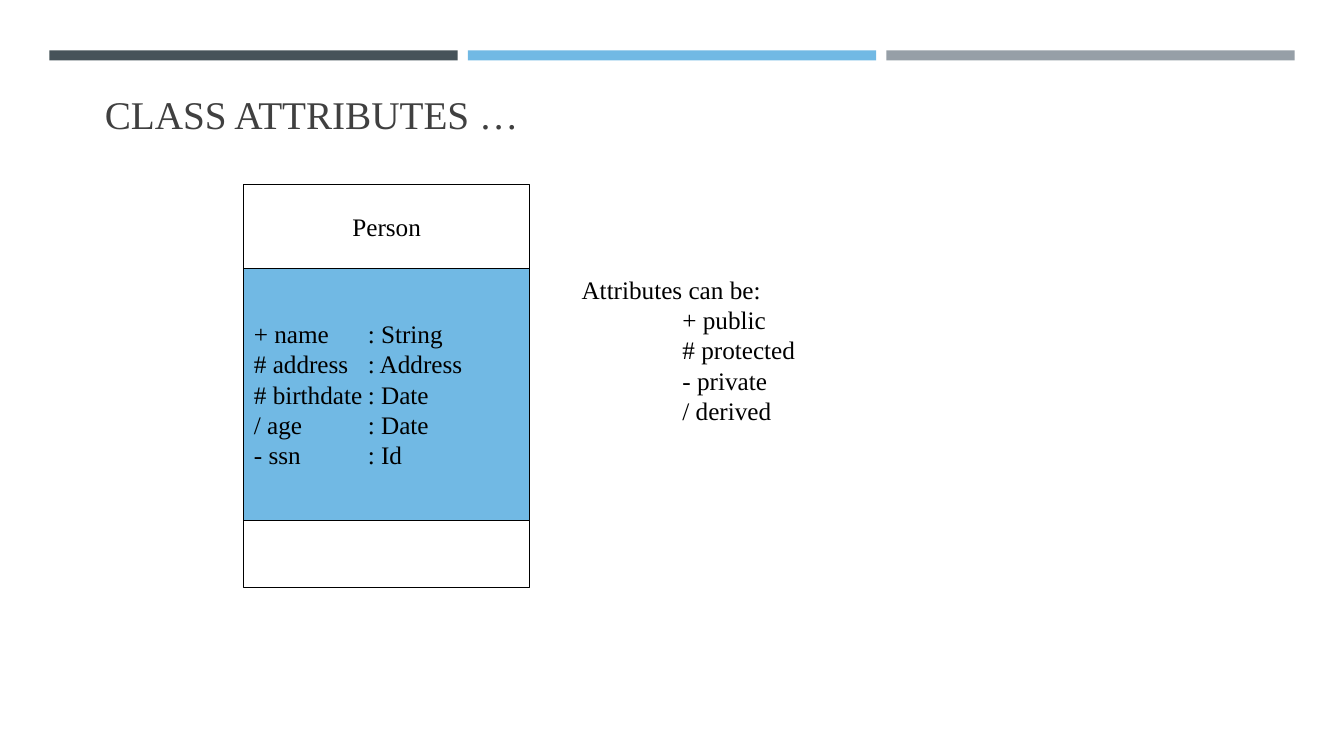
import dataclasses

import pptx
import pptx.dml.color
import pptx.enum.shapes
import pptx.enum.text
import pptx.oxml
import pptx.oxml.ns
import pptx.util

Inches = pptx.util.Inches
Anchor = pptx.enum.text.MSO_ANCHOR
Align = pptx.enum.text.PP_ALIGN


@dataclasses.dataclass(frozen=True)
class Theme:
    font: str = "Times New Roman"
    title_size: int = 28
    body_size: int = 18
    title: str = "404040"
    ink: str = "000000"
    paper: str = "FFFFFF"
    slate: str = "465359"
    sky: str = "71B9E4"
    gray: str = "969FA7"


THEME = Theme()


def rgb(value):
    return pptx.dml.color.RGBColor.from_string(value)


def write_text(shape, lines, size=THEME.body_size, color=THEME.ink, align=Align.LEFT,
               anchor=Anchor.TOP, tab_stop=None, hanging_from=None):
    frame = shape.text_frame
    frame.word_wrap = True
    frame.auto_size = pptx.enum.text.MSO_AUTO_SIZE.NONE
    frame.vertical_anchor = anchor
    frame.text = "\n".join(lines)
    for index, paragraph in enumerate(frame.paragraphs):
        properties = paragraph._p.get_or_add_pPr()
        if hanging_from and index > 0:
            properties.set("marL", str(Inches(hanging_from)))
        if tab_stop:
            tabs = pptx.oxml.parse_xml(
                f'<a:tabLst {pptx.oxml.ns.nsdecls("a")}>'
                f'<a:tab pos="{Inches(tab_stop)}" algn="l"/></a:tabLst>')
            properties.append(tabs)
        paragraph.alignment = align
        paragraph.font.name = THEME.font
        paragraph.font.size = pptx.util.Pt(size)
        paragraph.font.color.rgb = rgb(color)


def add_rectangle(slide, left, top, width, height, fill, line=None):
    shape = slide.shapes.add_shape(
        pptx.enum.shapes.MSO_SHAPE.RECTANGLE,
        Inches(left), Inches(top), Inches(width), Inches(height))
    shape.shadow.inherit = False
    shape.fill.solid()
    shape.fill.fore_color.rgb = rgb(fill)
    if line:
        shape.line.color.rgb = rgb(line)
        shape.line.width = pptx.util.Pt(0.75)
    else:
        shape.line.fill.background()
    return shape


def add_top_bars(slide, left, top, width, height):
    gap = 0.1
    colors = (THEME.slate, THEME.sky, THEME.gray)
    bar_width = (width - gap * (len(colors) - 1)) / len(colors)
    for index, color in enumerate(colors):
        add_rectangle(slide, left + index * (bar_width + gap), top, bar_width, height, color)


def place_title(slide, text, left, top, width, height):
    title = slide.shapes.title
    title.left, title.top = Inches(left), Inches(top)
    title.width, title.height = Inches(width), Inches(height)
    write_text(title, [text], size=THEME.title_size, color=THEME.title, anchor=Anchor.BOTTOM)


def add_class_diagram(slide, name, attributes, left, top, width, height):
    name_height, operations_height = 0.83, 0.67
    attributes_height = height - name_height - operations_height
    attributes_top = top + name_height
    header = add_rectangle(slide, left, top, width, name_height, THEME.paper, THEME.ink)
    write_text(header, [name], align=Align.CENTER, anchor=Anchor.MIDDLE)
    body = add_rectangle(slide, left, attributes_top, width, attributes_height,
                         THEME.sky, THEME.ink)
    lines = [f"{attribute}\t: {kind}" for attribute, kind in attributes]
    write_text(body, lines, anchor=Anchor.MIDDLE, tab_stop=1.13)
    add_rectangle(slide, left, attributes_top + attributes_height, width, operations_height,
                  THEME.paper, THEME.ink)


def add_visibility_list(slide, heading, items, left, top, width, height):
    box = slide.shapes.add_textbox(Inches(left), Inches(top), Inches(width), Inches(height))
    write_text(box, [heading, *items], hanging_from=1)


def main():
    presentation = pptx.Presentation()
    presentation.slide_width = Inches(13.33)
    presentation.slide_height = Inches(7.5)
    slide = presentation.slides.add_slide(presentation.slide_layouts.get_by_name("Title Only"))
    add_top_bars(slide, 0.49, 0.5, 12.35, 0.1)
    place_title(slide, "CLASS ATTRIBUTES …", 0.94, 0.83, 11.44, 0.58)
    attributes = [
        ("+ name", "String"),
        ("# address", "Address"),
        ("# birthdate", "Date"),
        ("/ age", "Date"),
        ("- ssn", "Id"),
    ]
    add_class_diagram(slide, "Person", attributes, 2.42, 1.83, 2.83, 4)
    visibilities = ["+ public", "# protected", "- private", "/ derived"]
    add_visibility_list(slide, "Attributes can be:", visibilities, 5.67, 2.67, 2.34, 1.62)
    presentation.save("out.pptx")


if __name__ == "__main__":
    main()
